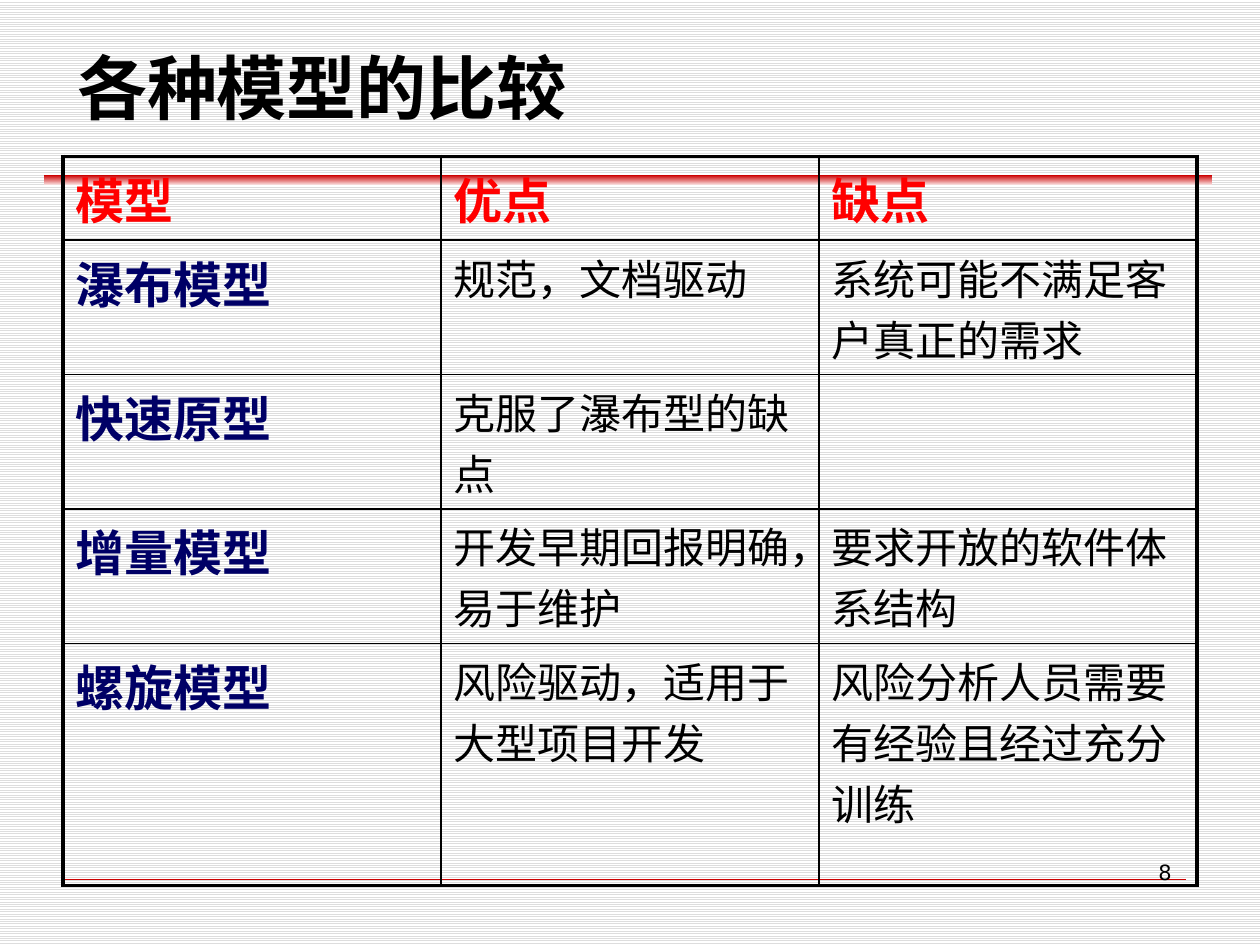
import pptx
import pptx.dml.color
import pptx.enum.dml
import pptx.enum.shapes
import pptx.enum.text
import pptx.oxml
import pptx.oxml.ns
import pptx.util
from lxml import etree

Cm = pptx.util.Cm
Pt = pptx.util.Pt
RGB = pptx.dml.color.RGBColor
qn = pptx.oxml.ns.qn
ALIGN = pptx.enum.text.PP_ALIGN

BLACK = RGB(0, 0, 0)
WHITE = RGB(0xFF, 0xFF, 0xFF)
GREY = RGB(0xDD, 0xDD, 0xDD)
RED = RGB(0xFF, 0, 0)
NAVY = RGB(0, 0, 0x66)
DARK = RGB(0xCC, 0, 0)
PINK = RGB(0xF9, 0xE0, 0xE0)

SANS = "DejaVu Sans"
ROWS = [
    ("模型", "优点", "缺点"),
    ("瀑布模型", "规范，文档驱动", "系统可能不满足客户真正的需求"),
    ("快速原型", "克服了瀑布型的缺点", ""),
    ("增量模型", "开发早期回报明确，易于维护", "要求开放的软件体系结构"),
    ("螺旋模型", "风险驱动，适用于大型项目开发", "风险分析人员需要有经验且经过充分训练"),
]
HIGHS = [1.69, 2.71, 2.71, 2.71, 4.88]


def add_run(para, text, size, color, bold=False, font="Arial"):
    """Append one formatted run to a paragraph."""
    run = para.add_run()
    run.text = text
    run.font.size = Pt(size)
    run.font.bold = bold
    run.font.name = font
    run.font.color.rgb = color


def set_back(slide):
    """Give the slide a light pattern of level stripes."""
    fill = slide.background.fill
    fill.patterned()
    fill.pattern = pptx.enum.dml.MSO_PATTERN.LIGHT_HORIZONTAL
    fill.fore_color.rgb = GREY
    fill.back_color.rgb = WHITE


def add_bar(slide, left, top, width, height):
    """Draw the fading red bar below the title."""
    bar = slide.shapes.add_shape(
        pptx.enum.shapes.MSO_SHAPE.RECTANGLE,
        Cm(left), Cm(top), Cm(width), Cm(height))
    bar.shadow.inherit = False
    bar.line.fill.background()
    bar.fill.gradient()
    bar.fill.gradient_angle = 90
    for stop, color in zip(bar.fill.gradient_stops, (PINK, DARK)):
        stop.color.rgb = color


def add_foot(slide, left, top, width, height):
    """Draw the thin foot line and the page number at its right end."""
    level = Cm(top + 0.53)
    line = slide.shapes.add_connector(
        pptx.enum.shapes.MSO_CONNECTOR.STRAIGHT,
        Cm(left), level, Cm(left + width - 0.4), level)
    line.line.color.rgb = DARK
    line.line.width = Pt(0.25)
    etree.SubElement(line._element.spPr, qn("a:effectLst"))
    box = slide.shapes.add_textbox(
        Cm(left + width - 1.6), Cm(top), Cm(1.6), Cm(height))
    frame = box.text_frame
    frame.word_wrap = True
    frame.margin_right = Cm(0.68)
    para = frame.paragraphs[0]
    para.alignment = ALIGN.RIGHT
    add_run(para, "8", 12, BLACK, font=SANS)


def set_title(slide, left, top, width, height):
    """Move the title placeholder into its box and fill it."""
    title = slide.shapes.title
    title.left, title.top = Cm(left), Cm(top)
    title.width, title.height = Cm(width), Cm(height)
    frame = title.text_frame
    frame.auto_size = pptx.enum.text.MSO_AUTO_SIZE.NONE
    frame.vertical_anchor = pptx.enum.text.MSO_ANCHOR.BOTTOM
    para = frame.paragraphs[0]
    para.alignment = ALIGN.LEFT
    add_run(para, "各种模型的比较", 40, BLACK, True, SANS)


def set_edge(cell, side, width):
    """Draw one black border of a cell."""
    edge = etree.SubElement(
        cell._tc.get_or_add_tcPr(), qn("a:ln" + side), w=str(Pt(width)))
    fill = etree.SubElement(edge, qn("a:solidFill"))
    etree.SubElement(fill, qn("a:srgbClr"), val=str(BLACK))


def fill_cell(cell, text, row, col):
    """Write and style one cell by its place in the grid."""
    outer = {"L": col == 0, "R": col == 2,
             "T": row == 0, "B": row == len(ROWS) - 1}
    for side, thick in outer.items():
        set_edge(cell, side, 2.25 if thick else 1)
    cell.fill.background()
    para = cell.text_frame.paragraphs[0]
    props = para._p.get_or_add_pPr()
    props.set("hangingPunct", "1")
    space = etree.SubElement(props, qn("a:spcBef"))
    etree.SubElement(space, qn("a:spcPct"), val="20000")
    head = row == 0 or col == 0
    color = RED if row == 0 else NAVY if col == 0 else BLACK
    if text:
        add_run(para, text, 28 if head else 24, color, head)


def add_grid(slide, left, top, width):
    """Build the table that compares the models."""
    table = slide.shapes.add_table(
        len(ROWS), 3, Cm(left), Cm(top), Cm(width), Cm(sum(HIGHS))).table
    table.first_row = table.horz_banding = False
    for column in table.columns:
        column.width = Cm(width / 3)
    for row, texts in enumerate(ROWS):
        table.rows[row].height = Cm(HIGHS[row])
        for col, text in enumerate(texts):
            fill_cell(table.cell(row, col), text, row, col)


def main():
    """Build and save the slide."""
    deck = pptx.Presentation()
    deck.slide_width, deck.slide_height = Cm(25.4), Cm(19.05)
    slide = deck.slides.add_slide(deck.slide_layouts[5])
    set_back(slide)
    add_bar(slide, 0.89, 3.53, 23.55, 0.2)
    add_foot(slide, 1.3, 17.2, 23, 1.32)
    set_title(slide, 1.3, 0, 22.86, 2.72)
    add_grid(slide, 1.27, 3.15, 22.86)
    deck.save("out.pptx")


if __name__ == "__main__":
    main()
